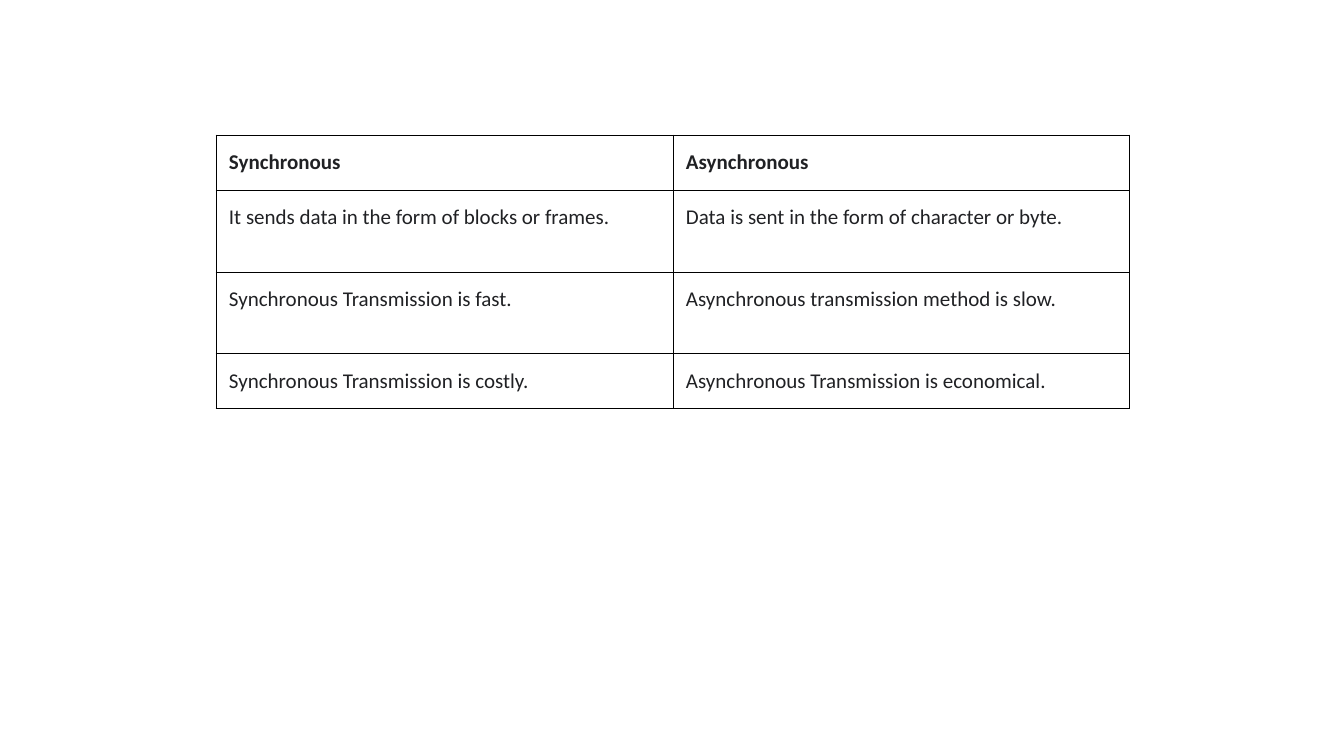
import pptx
import pptx.dml.color
import pptx.enum.text
import pptx.oxml
import pptx.oxml.ns
import pptx.util

PX = 914400 / 100.8
INK = pptx.dml.color.RGBColor(0x20, 0x21, 0x24)
WHITE = pptx.dml.color.RGBColor(0xFF, 0xFF, 0xFF)
BORDER = pptx.dml.color.RGBColor(0x00, 0x00, 0x00)

COMPARISON = [
    ("Synchronous", "Asynchronous"),
    ("It sends data in the form of blocks or frames.",
     "Data is sent in the form of character or byte."),
    ("Synchronous Transmission is fast.",
     "Asynchronous transmission method is slow."),
    ("Synchronous Transmission is costly.",
     "Asynchronous Transmission is economical."),
]


def px(length):
    return pptx.util.Emu(round(length * PX))


class SlideBuilder:
    font_name = "Calibri"
    font_size = pptx.util.Pt(15)
    line_spacing = 1.15
    border_width = pptx.util.Pt(0.75)

    def __init__(self, slide):
        self.slide = slide

    def add_table(self, left, top, column_width, row_heights, rows):
        columns = len(rows[0])
        table = self.slide.shapes.add_table(
            len(rows), columns, px(left), px(top),
            px(column_width * columns), px(sum(row_heights))).table
        table.first_row = False
        table.horz_banding = False
        for column in table.columns:
            column.width = px(column_width)
        for row_index, (height, texts) in enumerate(zip(row_heights, rows)):
            table.rows[row_index].height = px(height)
            for column_index, text in enumerate(texts):
                self.format_cell(table.cell(row_index, column_index), text,
                                 bold=row_index == 0)

    def format_cell(self, cell, text, bold):
        self.add_borders(cell)
        cell.fill.solid()
        cell.fill.fore_color.rgb = WHITE
        cell.margin_left, cell.margin_right = px(13), px(14)
        cell.margin_top = cell.margin_bottom = px(11)
        cell.vertical_anchor = pptx.enum.text.MSO_ANCHOR.TOP
        cell.text_frame.text = text
        paragraph = cell.text_frame.paragraphs[0]
        paragraph.line_spacing = self.line_spacing
        font = paragraph.runs[0].font
        font.name = self.font_name
        font.size = self.font_size
        font.bold = bold
        font.color.rgb = INK

    def add_borders(self, cell):
        properties = cell._tc.get_or_add_tcPr()
        for side in ("lnL", "lnR", "lnT", "lnB"):
            properties.append(pptx.oxml.parse_xml(
                f'<a:{side} {pptx.oxml.ns.nsdecls("a")} w="{self.border_width}">'
                f'<a:solidFill><a:srgbClr val="{BORDER}"/></a:solidFill>'
                f'</a:{side}>'))


def main():
    presentation = pptx.Presentation()
    presentation.slide_width = px(1344)
    presentation.slide_height = px(756)
    slide = presentation.slides.add_slide(presentation.slide_layouts[6])
    builder = SlideBuilder(slide)
    builder.add_table(216, 135, 457, (55, 82, 82, 55), COMPARISON)
    presentation.save("out.pptx")


if __name__ == "__main__":
    main()
